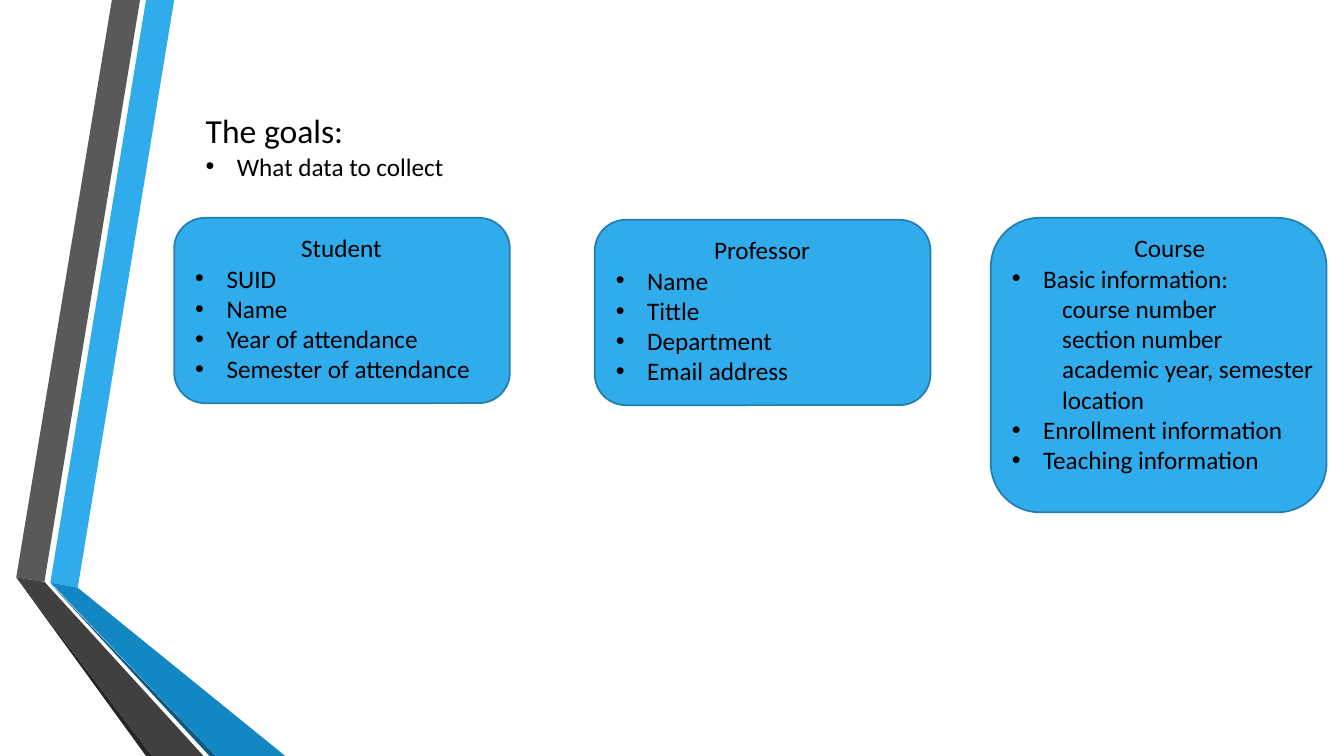
from lxml import etree
from pptx import Presentation
from pptx.dml.color import RGBColor
from pptx.enum.shapes import MSO_SHAPE
from pptx.enum.text import MSO_ANCHOR, PP_ALIGN
from pptx.oxml.ns import qn
from pptx.util import Cm, Pt

ROUNDED = MSO_SHAPE.ROUNDED_RECTANGLE
TOP = MSO_ANCHOR.TOP
LEFT, CENTER = PP_ALIGN.LEFT, PP_ALIGN.CENTER

FONT = "Calibri"
BLACK, BLUE, BLUE_EDGE = "000000", "30ACEC", "247FAF"
HEADING, BULLET, DETAIL = "heading", "bullet", "detail"
TITLE = "The goals:"
GOAL = [(BULLET, "What data to collect")]

CARDS = [
    {"left": 4.39, "top": 5.49, "height": 4.67, "text_width": 7.87, "lines": [
        (HEADING, "Student"),
        (BULLET, "SUID"),
        (BULLET, "Name"),
        (BULLET, "Year of attendance"),
        (BULLET, "Semester of attendance"),
    ]},
    {"left": 14.99, "top": 5.54, "height": 4.67, "text_width": 7.87, "lines": [
        (HEADING, "Professor"),
        (BULLET, "Name"),
        (BULLET, "Tittle"),
        (BULLET, "Department"),
        (BULLET, "Email address"),
    ]},
    {"left": 24.97, "top": 5.49, "height": 7.42, "text_width": 8.46, "lines": [
        (HEADING, "Course"),
        (BULLET, "Basic information:"),
        (DETAIL, "course number"),
        (DETAIL, "section number"),
        (DETAIL, "academic year, semester"),
        (DETAIL, "location"),
        (BULLET, "Enrollment information"),
        (BULLET, "Teaching information"),
    ]},
]
CARD_WIDTH = 8.46
TEXT_INSET_X, TEXT_INSET_Y = 0.28, 0.25

RIBBON_UNIT = Cm(0.01)
RIBBONS = [
    (BLUE, [(127, 1468), (196, 1481), (439, 0), (368, 0)]),
    ("595959", [(353, 0), (282, 0), (41, 1455), (112, 1466)]),
    ("262626", [(41, 1455), (368, 1905), (384, 1905)]),
    ("0C5A82", [(127, 1471), (528, 1905), (544, 1905)]),
    ("1287C3", [(127, 1468), (544, 1905), (719, 1905), (196, 1481)]),
    ("404040", [(41, 1455), (384, 1905), (513, 1905), (112, 1466)]),
]


def color(value):
    return RGBColor.from_string(value)


def fill_shape(shape, value):
    shape.shadow.inherit = False
    shape.fill.solid()
    shape.fill.fore_color.rgb = color(value)


def format_spans(para, size):
    for span in para.runs:
        span.font.name = FONT
        span.font.size = Pt(size)
        span.font.color.rgb = color(BLACK)


def indent(para, margin, first_line=0):
    properties = para._p.get_or_add_pPr()
    properties.set("marL", str(Cm(margin)))
    properties.set("indent", str(Cm(first_line)))
    return properties


def add_bullet(para):
    properties = indent(para, 0.79, -0.79)
    etree.SubElement(properties, qn("a:buFont")).set("typeface", "Arial")
    etree.SubElement(properties, qn("a:buChar")).set("char", "•")


def add_lines(shapes, lines, left, top, width, height):
    box = shapes.add_textbox(Cm(left), Cm(top), Cm(width), Cm(height))
    frame = box.text_frame
    frame.word_wrap = True
    frame.text = "\n".join(text for role, text in lines)
    for para, (role, text) in zip(frame.paragraphs, lines):
        para.alignment = CENTER if role == HEADING else LEFT
        if role == BULLET:
            add_bullet(para)
        elif role == DETAIL:
            indent(para, 1.27)
        format_spans(para, 18)


def add_ribbon(page, value, points):
    builder = page.shapes.build_freeform(*points[0], scale=RIBBON_UNIT)
    builder.add_line_segments(points[1:], close=True)
    ribbon = builder.convert_to_shape()
    fill_shape(ribbon, value)
    ribbon.line.fill.background()


def add_card(page, card):
    shapes = page.shapes.add_group_shape().shapes
    panel = shapes.add_shape(ROUNDED, Cm(card["left"]), Cm(card["top"]),
                             Cm(CARD_WIDTH), Cm(card["height"]))
    fill_shape(panel, BLUE)
    panel.line.color.rgb = color(BLUE_EDGE)
    panel.line.width = Pt(1.25)
    add_lines(shapes, card["lines"], card["left"] + TEXT_INSET_X,
              card["top"] + TEXT_INSET_Y, card["text_width"],
              card["height"] - 2 * TEXT_INSET_Y)


def set_title(page):
    title = page.shapes.title
    title.left, title.top = Cm(4.93), Cm(2.64)
    title.width, title.height = Cm(7.39), Cm(1.27)
    frame = title.text_frame
    frame.text = TITLE
    frame.vertical_anchor = TOP
    para = frame.paragraphs[0]
    para.alignment = LEFT
    format_spans(para, 24)


def main():
    deck = Presentation()
    deck.slide_width, deck.slide_height = Cm(33.87), Cm(19.05)
    page = deck.slides.add_slide(deck.slide_layouts[5])
    for value, points in RIBBONS:
        add_ribbon(page, value, points)
    set_title(page)
    add_lines(page.shapes, GOAL, 4.93, 3.68, 7.39, 1.02)
    for card in CARDS:
        add_card(page, card)
    deck.save("out.pptx")


if __name__ == "__main__":
    main()
